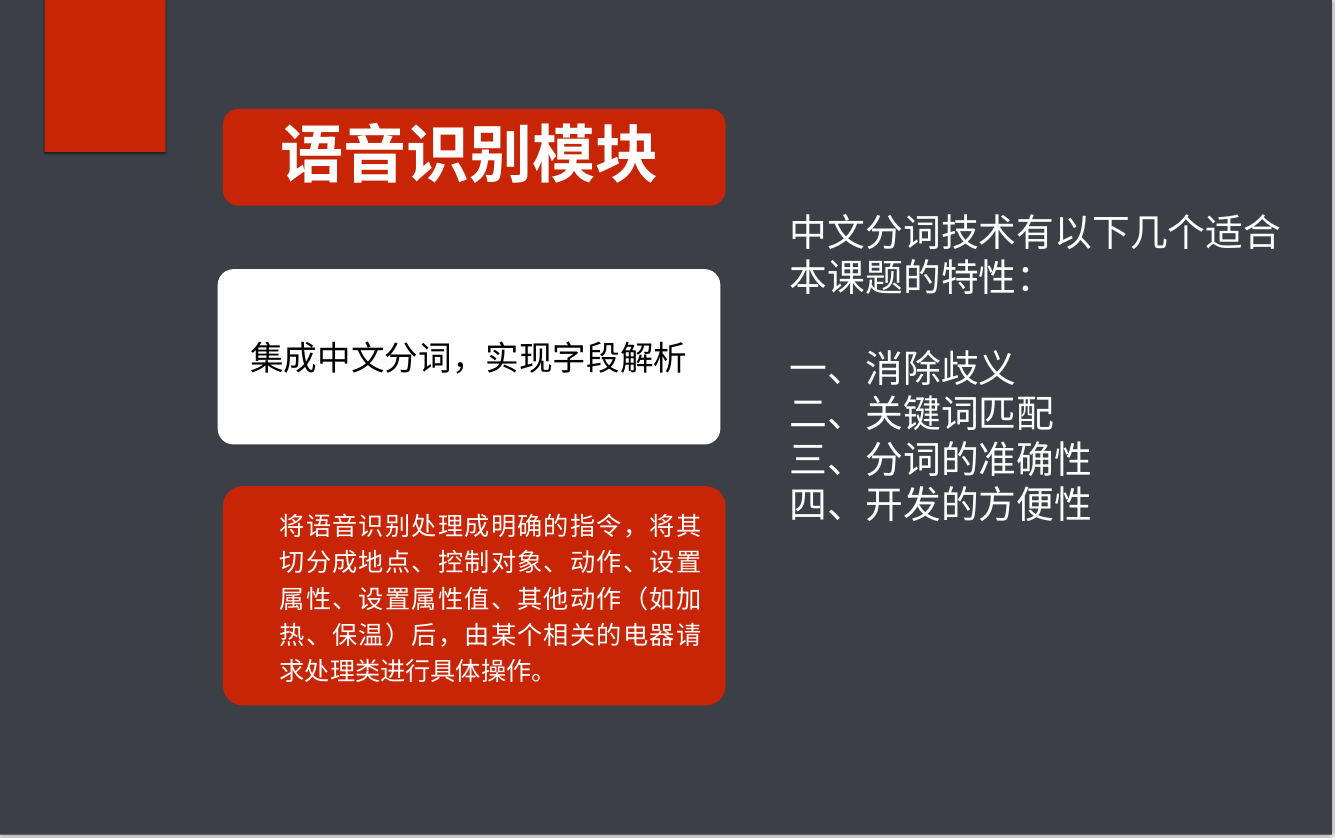
from dataclasses import dataclass

from lxml.etree import SubElement
from pptx import Presentation
from pptx.dml.color import RGBColor
from pptx.enum.shapes import MSO_SHAPE
from pptx.enum.text import MSO_ANCHOR, MSO_AUTO_SIZE, PP_ALIGN
from pptx.oxml.ns import qn
from pptx.shapes.autoshape import Shape
from pptx.slide import Slide
from pptx.util import Inches, Pt

SLIDE_WIDTH, SLIDE_HEIGHT = Inches(17.78), Inches(11.11)
FONT = "Roboto"
RED, WHITE, BLACK, SLATE = "C82506", "FFFFFF", "000000", "3C4046"
TRAITS_SIZE = 36
CARD_LEFT, CARD_WIDTH = 16.59, 37.4


@dataclass(frozen=True)
class Area:
    """Percentages of the slide's width and height."""

    left: float
    top: float
    width: float
    height: float

    def place(self, shape: Shape) -> None:
        shape.left = int(SLIDE_WIDTH * self.left / 100)
        shape.top = int(SLIDE_HEIGHT * self.top / 100)
        shape.width = int(SLIDE_WIDTH * self.width / 100)
        shape.height = int(SLIDE_HEIGHT * self.height / 100)


@dataclass(frozen=True)
class Block:
    area: Area
    fill: str
    rounding: float = 0
    shadow: bool = False


@dataclass(frozen=True)
class Wording:
    lines: tuple[str, ...]
    size: int
    color: str = WHITE
    align: PP_ALIGN = PP_ALIGN.LEFT
    anchor: MSO_ANCHOR = MSO_ANCHOR.MIDDLE
    line_spacing: float = 1.0
    bold: bool = False
    wrap: bool = True


BACKDROP = Block(Area(0, 0, 99.1, 99.37), SLATE, shadow=True)
TAB = Block(Area(3.32, 0, 9, 18.09), RED, shadow=True)
TITLE_CARD = Block(Area(CARD_LEFT, 12.96, CARD_WIDTH, 11.52), RED, 0.16)
SUMMARY_CARD = Block(Area(16.2, 32.04, CARD_WIDTH, 20.88), WHITE, 0.09)
DETAIL_CARD = Block(Area(CARD_LEFT, 57.88, CARD_WIDTH, 26.1), RED, 0.09)

TITLE_AREA = Area(20.36, 13.05, 29.08, 10.17)
DETAIL_AREA = Area(20.47, 59.41, 32.06, 22.86)
TRAITS_AREA = Area(58.44, 24.3, 38.41, 50.14)

TITLE = Wording(("语音识别模块",), 60, align=PP_ALIGN.CENTER, bold=True, wrap=False)
SUMMARY = Wording(("集成中文分词，实现字段解析",), 32, BLACK, PP_ALIGN.CENTER)
DETAIL = Wording(
    (
        "将语音识别处理成明确的指令，将其切分成地点、控制对象、动作、设置属性、"
        "设置属性值、其他动作（如加热、保温）后，由某个相关的电器请求处理类进行具体操作。",
    ),
    24,
    align=PP_ALIGN.JUSTIFY,
    line_spacing=1.2,
)
TRAITS = Wording(
    (
        "中文分词技术有以下几个适合本课题的特性：",
        "一、消除歧义",
        "二、关键词匹配",
        "三、分词的准确性",
        "四、开发的方便性",
    ),
    TRAITS_SIZE,
    anchor=MSO_ANCHOR.TOP,
)


def color_of(code: str) -> RGBColor:
    return RGBColor.from_string(code)


def add_drop_shadow(shape: Shape) -> None:
    effects = shape.element.spPr.find(qn("a:effectLst"))
    shadow = SubElement(
        effects,
        qn("a:outerShdw"),
        blurRad=str(Pt(2)),
        dist=str(Pt(1)),
        dir="5400000",
        rotWithShape="0",
    )
    tint = SubElement(shadow, qn("a:srgbClr"), val=BLACK)
    SubElement(tint, qn("a:alpha"), val="50000")


def draw_block(page: Slide, block: Block) -> Shape:
    kind = MSO_SHAPE.ROUNDED_RECTANGLE if block.rounding else MSO_SHAPE.RECTANGLE
    shape = page.shapes.add_shape(kind, 0, 0, 0, 0)
    block.area.place(shape)
    if block.rounding:
        shape.adjustments[0] = block.rounding
    shape.fill.solid()
    shape.fill.fore_color.rgb = color_of(block.fill)
    shape.line.fill.background()
    shape.shadow.inherit = False
    if block.shadow:
        add_drop_shadow(shape)
    return shape


def write(box: Shape, wording: Wording) -> None:
    frame = box.text_frame
    frame.text = "\n".join(wording.lines)
    frame.word_wrap = wording.wrap
    frame.auto_size = MSO_AUTO_SIZE.NONE
    frame.vertical_anchor = wording.anchor
    frame.margin_left = frame.margin_right = Inches(0.06)
    frame.margin_top = frame.margin_bottom = Inches(0.06)
    for paragraph in frame.paragraphs:
        properties = paragraph._p.get_or_add_pPr()
        properties.set("marL", "0")
        properties.set("indent", "0")
        SubElement(properties, qn("a:buNone"))
        paragraph.alignment = wording.align
        paragraph.line_spacing = wording.line_spacing
        paragraph.space_before = Pt(0)
        paragraph.font.name = FONT
        paragraph.font.size = Pt(wording.size)
        paragraph.font.bold = wording.bold
        paragraph.font.color.rgb = color_of(wording.color)


def fill_placeholder(page: Slide, box: Shape, area: Area, wording: Wording) -> None:
    area.place(box)
    write(box, wording)
    page.shapes.element.append(box.element)


def main() -> None:
    deck = Presentation()
    deck.slide_width, deck.slide_height = SLIDE_WIDTH, SLIDE_HEIGHT
    page = deck.slides.add_slide(deck.slide_layouts[1])
    title, traits = page.placeholders

    for block in (BACKDROP, DETAIL_CARD, TITLE_CARD, TAB):
        draw_block(page, block)
    write(draw_block(page, SUMMARY_CARD), SUMMARY)

    detail = page.shapes.add_textbox(0, 0, 0, 0)
    DETAIL_AREA.place(detail)
    write(detail, DETAIL)

    fill_placeholder(page, title, TITLE_AREA, TITLE)
    fill_placeholder(page, traits, TRAITS_AREA, TRAITS)
    traits.text_frame.paragraphs[1].space_before = Pt(TRAITS_SIZE * 1.2)

    deck.save("out.pptx")


if __name__ == "__main__":
    main()
